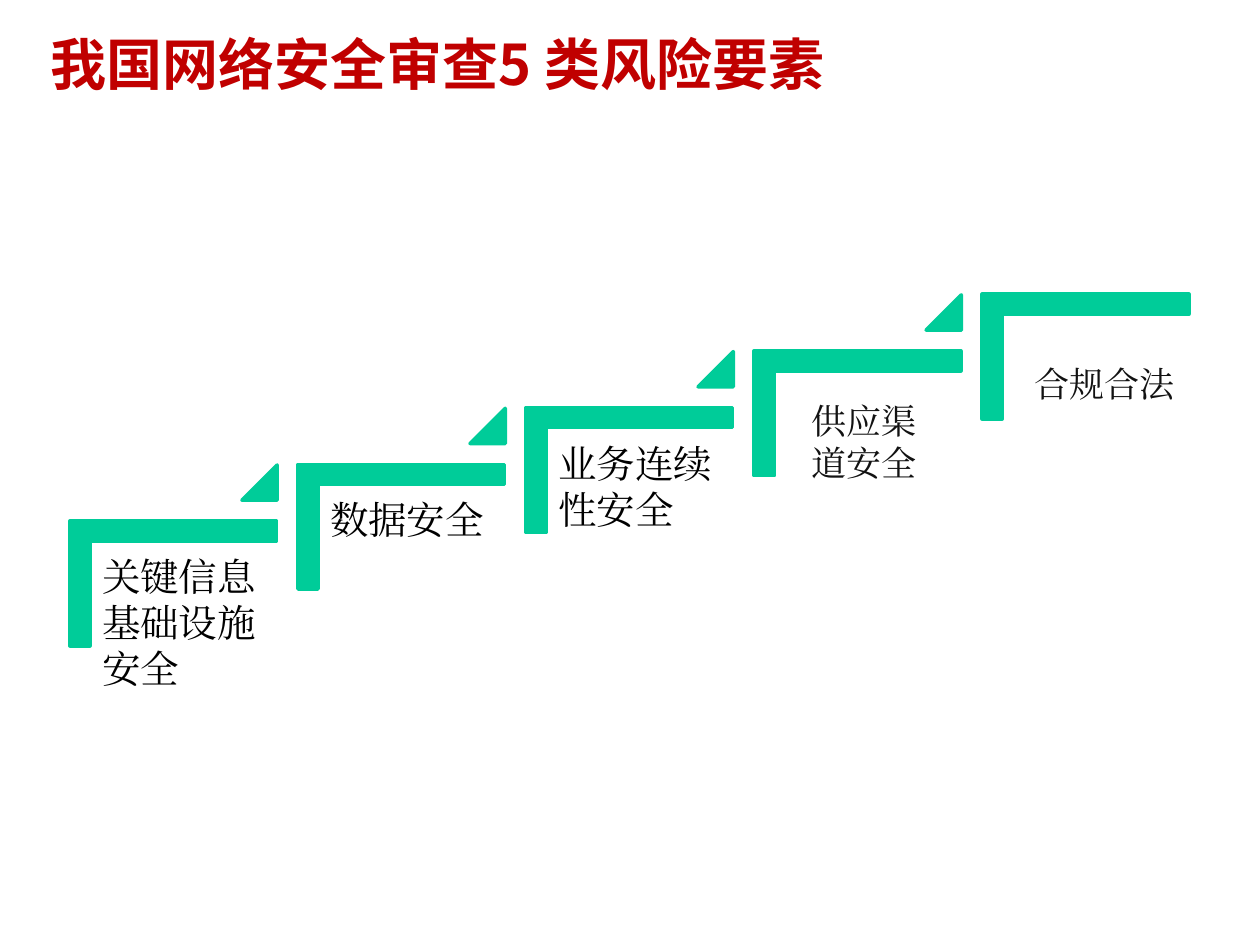
from pptx import Presentation
from pptx.dml.color import RGBColor
from pptx.enum.shapes import MSO_SHAPE as Shape
from pptx.enum.text import MSO_ANCHOR as Anchor, PP_ALIGN as Align
from pptx.util import Inches, Pt
from lxml.etree import SubElement
from pptx.oxml.ns import qn

COLORS = {"title": "C00000", "step": "00CC99", "large": "000000", "small": "121212"}
TITLE = "我国网络安全审查5 类风险要素"
TITLE_BOX = (0.3, 0.21, 8.5, 0.58)
LARGE = {"size": 22, "color": "large", "inset": 0.09}
SMALL = {"size": 20, "color": "small", "inset": None}
STEPS = [
    ("关键信息基础设施安全", LARGE, (-0.16, 0.49, 1.48, 1.3)),
    ("数据安全", LARGE, (-0.16, 0.49, 1.48, 1.3)),
    ("业务连续性安全", LARGE, (-0.16, 0.49, 1.48, 1.3)),
    ("供应渠道安全", SMALL, (0.03, 0.66, 1.1, 0.77)),
    ("合规合法", SMALL, (-0.01, 0.82, 1.5, 0.44)),
]
START_X, START_Y = 0.88, 3.81
STEP_X, STEP_Y = 1.81, 0.45
CORNER = {"kind": Shape.CORNER, "box": (0, 0, 0.99, 1.64),
          "adjustments": (0.161, 0.161), "rotation": 90}
TRIANGLE = {"kind": Shape.ISOSCELES_TRIANGLE, "box": (1.04, -0.12, 0.28, 0.28),
            "adjustments": (1,), "rotation": 0}


def rgb(name):
    return RGBColor.from_string(COLORS[name])


def place(box, x, y):
    left, top, width, height = box
    return [Inches(value) for value in (x + left, y + top, width, height)]


def write(frame, text, font_name, color, **font_format):
    frame.word_wrap = True
    run = frame.paragraphs[0].add_run()
    run.text = text
    run.font.name = font_name
    run.font.color.rgb = rgb(color)
    for name, value in font_format.items():
        setattr(run.font, name, value)
    SubElement(run.font._element, qn("a:ea")).set("typeface", font_name)


def add_marker(slide, marker, x, y):
    shape = slide.shapes.add_shape(marker["kind"], *place(marker["box"], x, y))
    shape.rotation = marker["rotation"]
    for index, value in enumerate(marker["adjustments"]):
        shape.adjustments[index] = value
    shape.shadow.inherit = False
    shape.fill.solid()
    shape.fill.fore_color.rgb = rgb("step")
    shape.line.color.rgb = rgb("step")
    shape.line.width = Pt(2)


def add_label(slide, text, style, box, x, y):
    frame = slide.shapes.add_textbox(*place(box, x, y)).text_frame
    if style["inset"]:
        for side in ("left", "top", "right", "bottom"):
            setattr(frame, f"margin_{side}", Inches(style["inset"]))
    write(frame, text, "Times New Roman", style["color"], size=Pt(style["size"]))


def main():
    presentation = Presentation()
    presentation.slide_width, presentation.slide_height = Inches(10), Inches(7.5)
    slide = presentation.slides.add_slide(presentation.slide_layouts[5])

    title = slide.shapes.title
    title.left, title.top, title.width, title.height = place(TITLE_BOX, 0, 0)
    title.text_frame.vertical_anchor = Anchor.MIDDLE
    title.text_frame.paragraphs[0].alignment = Align.LEFT
    write(title.text_frame, TITLE, "Noto Sans CJK SC", "title", size=Pt(32), bold=True)

    for index, (text, style, box) in enumerate(STEPS):
        x, y = START_X + index * STEP_X, START_Y - index * STEP_Y
        add_marker(slide, CORNER, x, y)
        add_label(slide, text, style, box, x, y)
        if index < len(STEPS) - 1:
            add_marker(slide, TRIANGLE, x, y)

    presentation.save("out.pptx")


if __name__ == "__main__":
    main()
